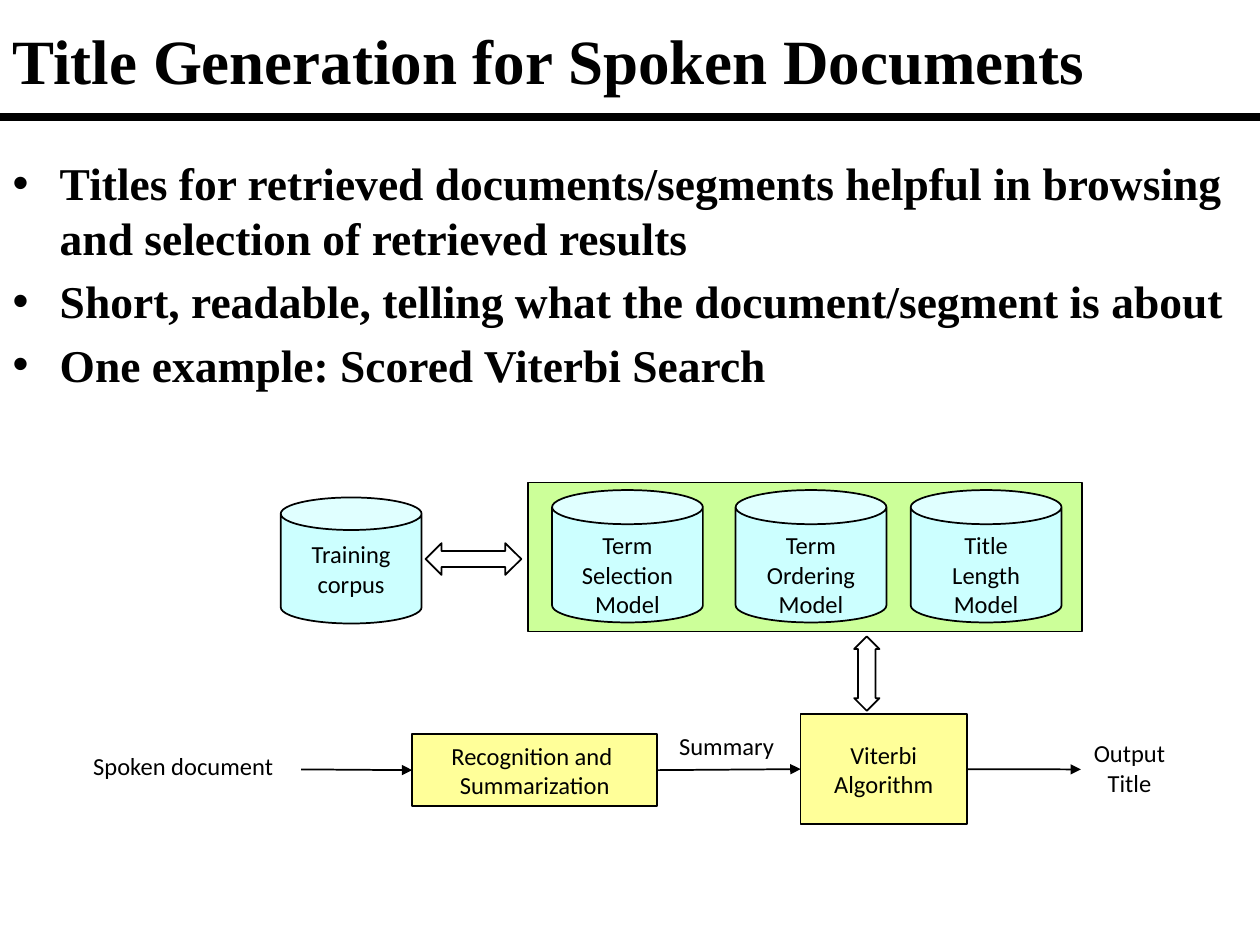
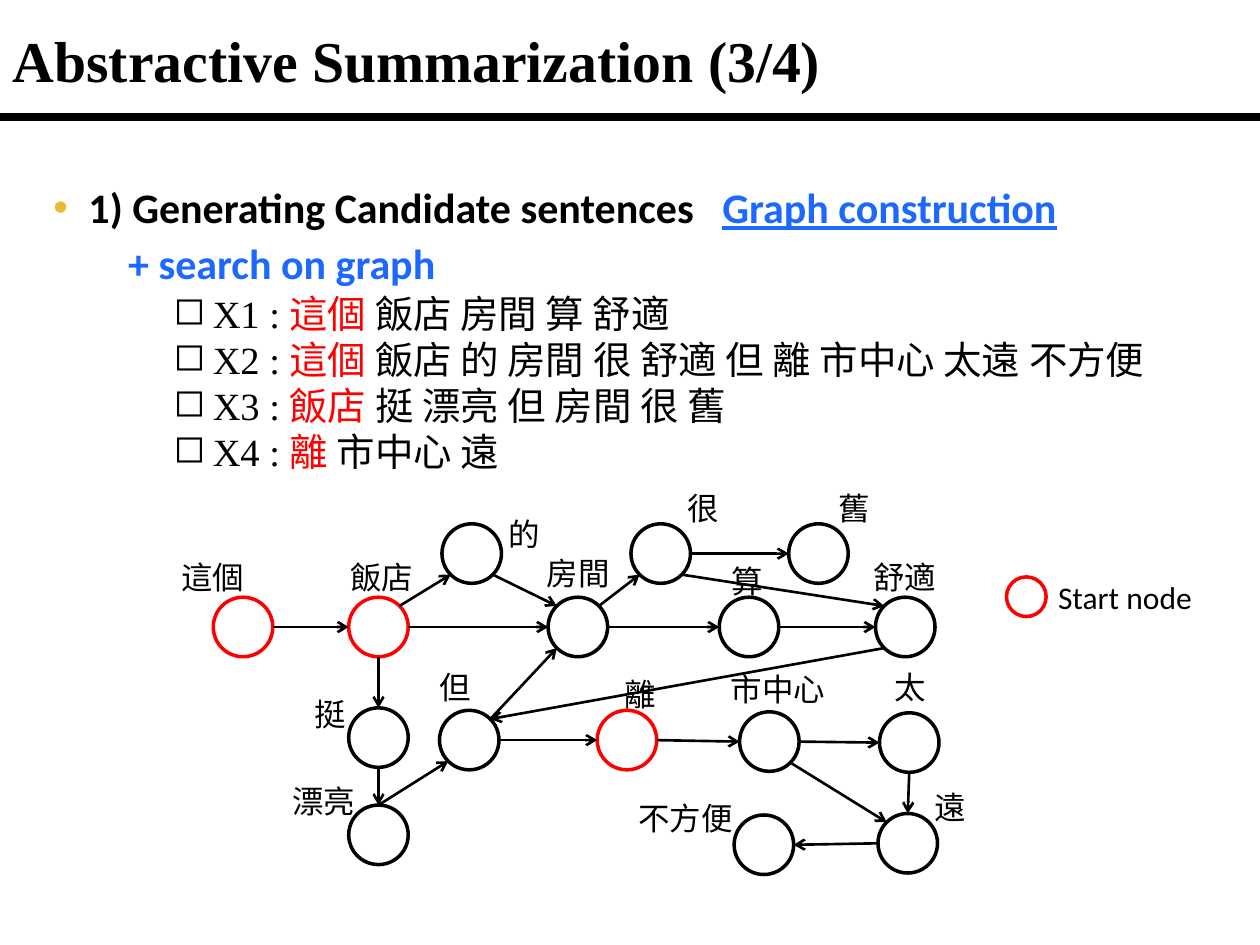
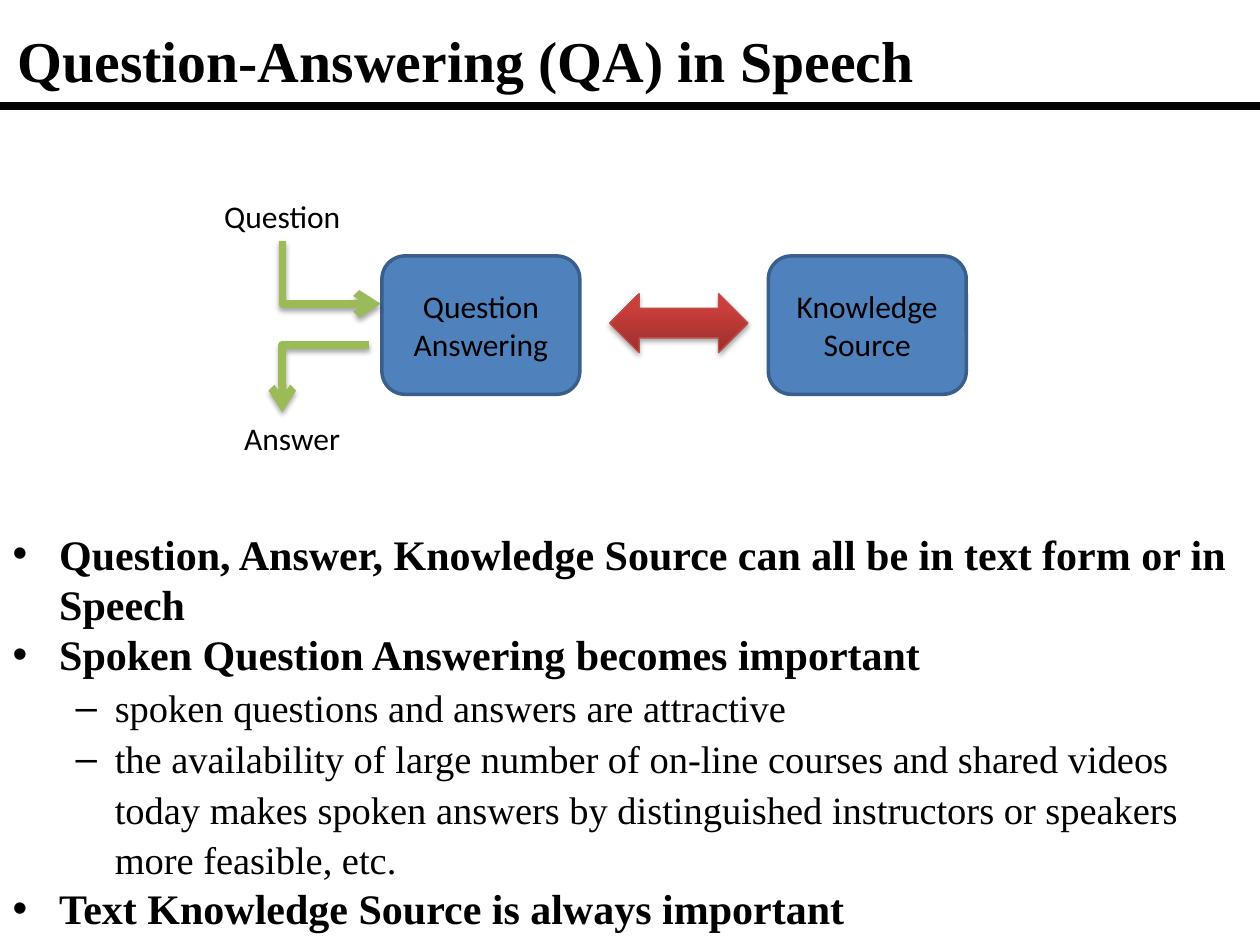
import math
from dataclasses import dataclass
from enum import Enum
from typing import Any, Optional

import lxml.etree
import pptx
import pptx.dml.color
import pptx.enum.shapes
import pptx.enum.text
import pptx.oxml.ns
import pptx.util
from pptx import Presentation
from pptx.dml.color import RGBColor
from pptx.enum.shapes import MSO_CONNECTOR, MSO_SHAPE
from pptx.enum.text import MSO_ANCHOR, MSO_AUTO_SIZE, PP_ALIGN
from pptx.util import Cm

# Shared colours and fonts
BLACK = RGBColor(0x00, 0x00, 0x00)
WHITE = RGBColor(0xFF, 0xFF, 0xFF)
RED = RGBColor(0xFF, 0x00, 0x00)
LINK_BLUE = RGBColor(0x1D, 0x68, 0xFF)
GOLD = RGBColor(0xEA, 0xBC, 0x33)
STORE_CYAN = RGBColor(0xCC, 0xFF, 0xFF)
MODEL_GREEN = RGBColor(0xCC, 0xFF, 0x99)
PROCESS_YELLOW = RGBColor(0xFF, 0xFF, 0x99)
BOX_BLUE = RGBColor(0x4F, 0x81, 0xBD)
BOX_EDGE = RGBColor(0x3A, 0x5F, 0x8C)
FLOW_GREEN = RGBColor(0x9B, 0xBB, 0x59)
ARROW_DARK = RGBColor(0x9C, 0x2F, 0x2D)
ARROW_LIGHT = RGBColor(0xCB, 0x3E, 0x3A)
ARROW_EDGE = RGBColor(0xBF, 0x4C, 0x48)

SERIF = "Times New Roman"
SANS = "Calibri"
LABEL_FONT = "Arial"
SLIDE_WIDTH = 25.4
SLIDE_HEIGHT = 19.05
NODE_RADIUS = 0.6


# All positions and sizes are in centimetres
@dataclass(frozen=True)
class Box:
    left: float
    top: float
    width: float
    height: float

    def lengths(self) -> tuple:
        return Cm(self.left), Cm(self.top), Cm(self.width), Cm(self.height)


@dataclass(frozen=True)
class Figure:
    kind: Any
    box: Box
    fill: Optional[RGBColor] = None
    text: str = ""
    line: RGBColor = BLACK
    weight: float = 1
    size: float = 14
    anchor: Any = MSO_ANCHOR.MIDDLE
    adjustments: tuple = ()


@dataclass(frozen=True)
class Label:
    text: str
    box: Box
    size: float = 14
    font: str = SANS
    align: Any = PP_ALIGN.LEFT


@dataclass(frozen=True)
class Run:
    text: str
    color: RGBColor = BLACK
    underline: bool = False
    spacing: int = 0


@dataclass(frozen=True)
class Item:
    runs: tuple
    size: float
    font: str = SERIF
    bold: bool = True
    bullet: str = "•"
    bullet_color: RGBColor = BLACK
    left: float = 0.95
    hanging: float = 0.95
    level: int = 0
    space_before: Optional[float] = None
    line_spacing: Optional[float] = None


@dataclass(frozen=True)
class Node:
    x: float
    y: float
    label_left: float
    label_top: float
    is_start: bool = False


class Site(Enum):
    """Angle of a point on a node's edge, clockwise from the right."""
    RIGHT = 0
    LOWER_RIGHT = 45
    BOTTOM = 90
    LOWER_LEFT = 135
    LEFT = 180
    UPPER_LEFT = 225
    TOP = 270
    UPPER_RIGHT = 315


def add_xml(parent: Any, tag: str, **attributes: str) -> Any:
    return lxml.etree.SubElement(parent, pptx.oxml.ns.qn(tag), attributes)


# Text
def style_paragraph(paragraph: Any, size: float, font: str, bold: bool = False) -> None:
    paragraph.font.size = pptx.util.Pt(size)
    paragraph.font.name = font
    paragraph.font.bold = bold
    paragraph.font.color.rgb = BLACK


def write_text(frame: Any, text: str, size: float, font: str, align: Any) -> None:
    frame.text = text
    for paragraph in frame.paragraphs:
        paragraph.alignment = align
        style_paragraph(paragraph, size, font)


def add_label(slide: Any, label: Label) -> None:
    shape = slide.shapes.add_textbox(*label.box.lengths())
    shape.text_frame.word_wrap = True
    write_text(shape.text_frame, label.text, label.size, label.font, label.align)


def write_items(frame: Any, items: list[Item]) -> None:
    frame.word_wrap = True
    frame.auto_size = MSO_AUTO_SIZE.NONE
    for index, item in enumerate(items):
        paragraph = frame.add_paragraph() if index else frame.paragraphs[0]
        paragraph.level = item.level
        properties = paragraph._p.get_or_add_pPr()
        properties.set("marL", str(Cm(item.left)))
        properties.set("indent", str(-Cm(item.hanging)))
        if item.bullet:
            color = add_xml(properties, "a:buClr")
            add_xml(color, "a:srgbClr", val=str(item.bullet_color))
            add_xml(properties, "a:buChar", char=item.bullet)
        else:
            add_xml(properties, "a:buNone")
        if item.space_before is not None:
            paragraph.space_before = pptx.util.Pt(item.space_before)
        if item.line_spacing is not None:
            paragraph.line_spacing = item.line_spacing
        style_paragraph(paragraph, item.size, item.font, item.bold)
        for part in item.runs:
            run = paragraph.add_run()
            run.text = part.text
            if part.color != BLACK:
                run.font.color.rgb = part.color
            if part.underline:
                run.font.underline = True
            if part.spacing:
                run._r.get_or_add_rPr().set("spc", str(part.spacing))


# Shapes and lines
def add_figure(slide: Any, figure: Figure) -> Any:
    shape = slide.shapes.add_shape(figure.kind, *figure.box.lengths())
    shape.shadow.inherit = False
    if figure.fill is None:
        shape.fill.background()
    else:
        shape.fill.solid()
        shape.fill.fore_color.rgb = figure.fill
    shape.line.color.rgb = figure.line
    shape.line.width = pptx.util.Pt(figure.weight)
    for index, value in enumerate(figure.adjustments):
        shape.adjustments[index] = value
    if figure.text:
        shape.text_frame.word_wrap = True
        shape.text_frame.vertical_anchor = figure.anchor
        write_text(shape.text_frame, figure.text, figure.size, SANS, PP_ALIGN.CENTER)
    return shape


def add_line(slide: Any, begin: tuple, end: tuple, weight: float = 1, head: str = "",
             color: RGBColor = BLACK, kind: Any = MSO_CONNECTOR.STRAIGHT) -> Any:
    connector = slide.shapes.add_connector(kind, *map(Cm, begin + end))
    connector.line.color.rgb = color
    connector.line.width = pptx.util.Pt(weight)
    properties = connector.element.spPr
    if head:
        add_xml(properties.find(pptx.oxml.ns.qn("a:ln")), "a:tailEnd", type=head)
    add_xml(properties, "a:effectLst")
    return connector


def add_bent_arrow(slide: Any, begin: tuple, end: tuple, degrees: int) -> None:
    connector = add_line(slide, begin, end, 4.5, "arrow", FLOW_GREEN, MSO_CONNECTOR.ELBOW)
    properties = connector.element.spPr
    properties.find(pptx.oxml.ns.qn("a:prstGeom")).set("prst", "bentConnector2")
    properties.find(pptx.oxml.ns.qn("a:xfrm")).set("rot", str(degrees * 60000))
    add_drop_shadow(connector)


def add_drop_shadow(shape: Any) -> None:
    effects = shape.element.spPr.find(pptx.oxml.ns.qn("a:effectLst"))
    shadow = add_xml(effects, "a:outerShdw", blurRad=str(pptx.util.Pt(3.1)),
                     dist=str(pptx.util.Pt(1.8)), dir="5400000", rotWithShape="0")
    color = add_xml(shadow, "a:srgbClr", val=str(BLACK))
    add_xml(color, "a:alpha", val="35000")


# Slide frame: title, rule and body
def add_titled_slide(presentation: Any, title: str, body: Box, items: list[Item],
                     size: float = 33, title_box: Box = Box(0, 0.2, 25.38, 2.01),
                     rule_top: float = 2.36) -> Any:
    slide = presentation.slides.add_slide(presentation.slide_layouts[1])
    heading, content = slide.shapes.title, slide.placeholders[1]
    for placeholder, box in ((heading, title_box), (content, body)):
        placeholder.left, placeholder.top, placeholder.width, placeholder.height = box.lengths()
    heading.text_frame.text = title
    heading.text_frame.vertical_anchor = MSO_ANCHOR.MIDDLE
    heading.text_frame.auto_size = MSO_AUTO_SIZE.NONE
    heading.text_frame.paragraphs[0].alignment = PP_ALIGN.LEFT
    style_paragraph(heading.text_frame.paragraphs[0], size, SERIF, True)
    write_items(content.text_frame, items)
    add_line(slide, (0, rule_top), (SLIDE_WIDTH, rule_top), 4.5)
    return slide


def build_title_generation(presentation: Any) -> None:
    points = ("Titles for retrieved documents/segments helpful in browsing and selection "
              "of retrieved results",
              "Short, readable, telling what the document/segment is about",
              "One example: Scored Viterbi Search")
    slide = add_titled_slide(presentation, "Title Generation for Spoken Documents",
                             Box(0, 3, 25.38, 6.25),
                             [Item((Run(point),), 26) for point in points], 36)

    # Training corpus and models
    can = MSO_SHAPE.CAN
    add_figure(slide, Figure(can, Box(5.66, 10.03, 2.84, 2.54), STORE_CYAN,
                             "Training\ncorpus", adjustments=(0.258,)))
    add_figure(slide, Figure(MSO_SHAPE.RECTANGLE, Box(10.64, 9.73, 11.18, 3), MODEL_GREEN))
    models = ((11.13, "Term\nSelection\nModel"), (14.83, "Term\nOrdering\nModel"),
              (18.36, "Title\nLength\nModel"))
    for left, text in models:
        add_figure(slide, Figure(can, Box(left, 9.88, 3.04, 2.67), STORE_CYAN, text,
                                 anchor=MSO_ANCHOR.TOP, adjustments=(0.258,)))
    add_figure(slide, Figure(MSO_SHAPE.LEFT_RIGHT_ARROW, Box(8.58, 10.95, 1.93, 0.64),
                             adjustments=(0.5, 0.505)))
    add_figure(slide, Figure(MSO_SHAPE.UP_DOWN_ARROW, Box(17.22, 12.83, 0.51, 1.5),
                             adjustments=(0.5, 0.696)))

    # Processing chain
    recognition = add_figure(slide, Figure(MSO_SHAPE.RECTANGLE, Box(8.31, 14.8, 4.94, 1.45),
                                           PROCESS_YELLOW, "Recognition and \nSummarization"))
    viterbi = add_figure(slide, Figure(MSO_SHAPE.RECTANGLE, Box(16.14, 14.4, 3.35, 2.21),
                                       PROCESS_YELLOW, "Viterbi\nAlgorithm"))
    middle = 15.51
    incoming = add_line(slide, (6.07, middle), (8.31, middle), head="triangle")
    incoming.end_connect(recognition, 1)
    summary = add_line(slide, (13.25, middle), (16.14, middle), head="triangle")
    summary.begin_connect(recognition, 3)
    summary.end_connect(viterbi, 1)
    outgoing = add_line(slide, (19.49, middle), (21.79, middle), head="triangle")
    outgoing.begin_connect(viterbi, 3)
    for label in (Label("Spoken document", Box(1.63, 15.01, 4.52, 0.86)),
                  Label("Summary", Box(13.44, 14.61, 3.05, 0.86)),
                  Label("Output\nTitle", Box(21.77, 14.76, 2, 1.45), align=PP_ALIGN.CENTER)):
        add_label(slide, label)


# Word graph: node positions, then edges with their sites
NODES = {
    "這個": Node(4.9, 12.64, 3.4, 11.13, True),
    "飯店": Node(7.63, 12.64, 6.81, 11.13, True),
    "房間": Node(11.65, 12.64, 10.77, 11.05),
    "算": Node(15.1, 12.64, 14.5, 11.2),
    "舒適": Node(18.25, 12.64, 17.35, 11.13),
    "的": Node(9.51, 11.16, 10.01, 10.26),
    "很": Node(13.32, 11.16, 13.61, 9.73),
    "舊": Node(16.5, 11.16, 16.66, 9.73),
    "挺": Node(7.63, 14.87, 6.1, 13.89),
    "漂亮": Node(7.63, 16.83, 5.64, 15.65),
    "但": Node(9.46, 14.92, 8.61, 13.34),
    "離": Node(12.64, 14.92, 12.34, 13.49, True),
    "市中心": Node(15.51, 14.95, 14.48, 13.39),
    "太": Node(18.33, 14.97, 17.78, 13.34),
    "遠": Node(18.3, 17, 18.59, 15.77),
    "不方便": Node(15.4, 17.03, 12.62, 15.98),
}
EDGES = (
    *((begin, Site.RIGHT, end, Site.LEFT) for begin, end in (
        ("這個", "飯店"), ("飯店", "房間"), ("房間", "算"), ("算", "舒適"),
        ("很", "舊"), ("但", "離"), ("離", "市中心"), ("市中心", "太"))),
    *((begin, Site.UPPER_RIGHT, end, Site.LOWER_LEFT) for begin, end in (
        ("飯店", "的"), ("房間", "很"), ("但", "房間"))),
    *((begin, Site.LOWER_RIGHT, end, Site.UPPER_LEFT) for begin, end in (
        ("的", "房間"), ("很", "舒適"), ("市中心", "遠"))),
    *((begin, Site.BOTTOM, end, Site.TOP) for begin, end in (
        ("飯店", "挺"), ("挺", "漂亮"), ("太", "遠"))),
    ("舒適", Site.LOWER_LEFT, "但", Site.UPPER_RIGHT),
    ("漂亮", Site.TOP, "但", Site.LOWER_LEFT),
    ("遠", Site.LEFT, "不方便", Site.RIGHT),
)


def edge_point(node: Node, site: Site) -> tuple:
    angle = math.radians(site.value)
    return node.x + NODE_RADIUS * math.cos(angle), node.y + NODE_RADIUS * math.sin(angle)


def add_circle(slide: Any, x: float, y: float, radius: float, is_start: bool) -> None:
    add_figure(slide, Figure(MSO_SHAPE.OVAL, Box(x - radius, y - radius, 2 * radius, 2 * radius),
                             WHITE, line=RED if is_start else BLACK, weight=2))


def build_abstractive_summarization(presentation: Any) -> None:
    heading = [
        Item((Run("1) Generating Candidate sentences"), Run(" ", spacing=1085),
              Run("Graph construction", LINK_BLUE, True)), 24, SANS,
             bullet_color=GOLD, left=1.02, hanging=0.71, space_before=3),
        Item((Run("+ search on graph", LINK_BLUE),), 24, SANS, bullet="",
             left=1.82, hanging=0, space_before=3),
    ]
    slide = add_titled_slide(presentation, "Abstractive Summarization (3/4)",
                             Box(0.51, 3.53, 24.1, 12.01), heading)

    # Example sentences with their start words
    sentences = (("這個", " 飯店 房間 算 舒適"),
                 ("這個", " 飯店 的 房間 很 舒適 但 離 市中心 太遠 不方便"),
                 ("飯店", " 挺 漂亮 但 房間 很 舊"),
                 ("離", " 市中心 遠"))
    examples = slide.shapes.add_textbox(*Box(3.25, 5.72, 21.06, 4.01).lengths())
    write_items(examples.text_frame, [
        Item((Run(f"X{number} : "), Run(start, RED), Run(rest)), 22, bold=False,
             bullet="◻", left=0.79, hanging=0.79)
        for number, (start, rest) in enumerate(sentences, 1)])

    # Graph and legend
    for node in NODES.values():
        add_circle(slide, node.x, node.y, NODE_RADIUS, node.is_start)
    for begin, begin_site, end, end_site in EDGES:
        add_line(slide, edge_point(NODES[begin], begin_site),
                 edge_point(NODES[end], end_site), 1.5, "arrow")
    for word, node in NODES.items():
        box = Box(node.label_left, node.label_top, 0.6 + 0.65 * len(word), 1.02)
        add_label(slide, Label(word, box, 18, LABEL_FONT))
    add_circle(slide, 20.69, 12.03, 0.4, True)
    add_label(slide, Label("Start node", Box(21.08, 11.53, 3.53, 1.02), 18))


def build_question_answering(presentation: Any) -> None:
    def main_point(text: str) -> Item:
        return Item((Run(text),), 24, left=0.94, hanging=0.94, space_before=0)

    def detail(text: str) -> Item:
        return Item((Run(text),), 22, bold=False, bullet="–", left=2.06, hanging=0.79,
                    level=1, space_before=0, line_spacing=1.1)

    items = [
        main_point("Question, Answer, Knowledge Source can all be in text form or in Speech"),
        main_point("Spoken Question Answering becomes important"),
        detail("spoken questions and answers are attractive"),
        detail("the availability of large number of on-line courses and shared videos today "
               "makes spoken answers by distinguished instructors or speakers more feasible, "
               "etc."),
        main_point("Text Knowledge Source is always important"),
    ]
    slide = add_titled_slide(presentation, "Question-Answering (QA) in Speech",
                             Box(0, 10.52, 25.4, 8.51), items,
                             title_box=Box(0.1, 0.33, 25.3, 1.75), rule_top=2.13)

    # Boxes and the arrow between them
    for left, text in ((7.7, "Question\nAnswering"), (15.49, "Knowledge\nSource")):
        add_figure(slide, Figure(MSO_SHAPE.ROUNDED_RECTANGLE, Box(left, 5.16, 3.99, 2.79),
                                 BOX_BLUE, text, BOX_EDGE, 2, 18))
    exchange = add_figure(slide, Figure(MSO_SHAPE.LEFT_RIGHT_ARROW, Box(12.29, 5.92, 2.79, 1.19),
                                        line=ARROW_EDGE, weight=0.75))
    exchange.fill.gradient()
    exchange.fill.gradient_angle = 90
    stops = ((0, ARROW_DARK), (0.8, ARROW_LIGHT))
    for stop, (position, color) in zip(exchange.fill.gradient_stops, stops):
        stop.position = position
        stop.color.rgb = color
    add_drop_shadow(exchange)

    # Question in, answer out
    add_bent_arrow(slide, (7.32, 4.5), (6.05, 6.48), 270)
    add_bent_arrow(slide, (5.69, 8.31), (7.44, 6.96), 180)
    for text, left, top in (("Question", 3.91, 3.84), ("Answer", 4.11, 8.33)):
        add_label(slide, Label(text, Box(left, top, 3.56, 1.02), 18, align=PP_ALIGN.CENTER))


def main() -> None:
    presentation = Presentation()
    presentation.slide_width = Cm(SLIDE_WIDTH)
    presentation.slide_height = Cm(SLIDE_HEIGHT)
    build_title_generation(presentation)
    build_abstractive_summarization(presentation)
    build_question_answering(presentation)
    presentation.save("out.pptx")


if __name__ == "__main__":
    main()
